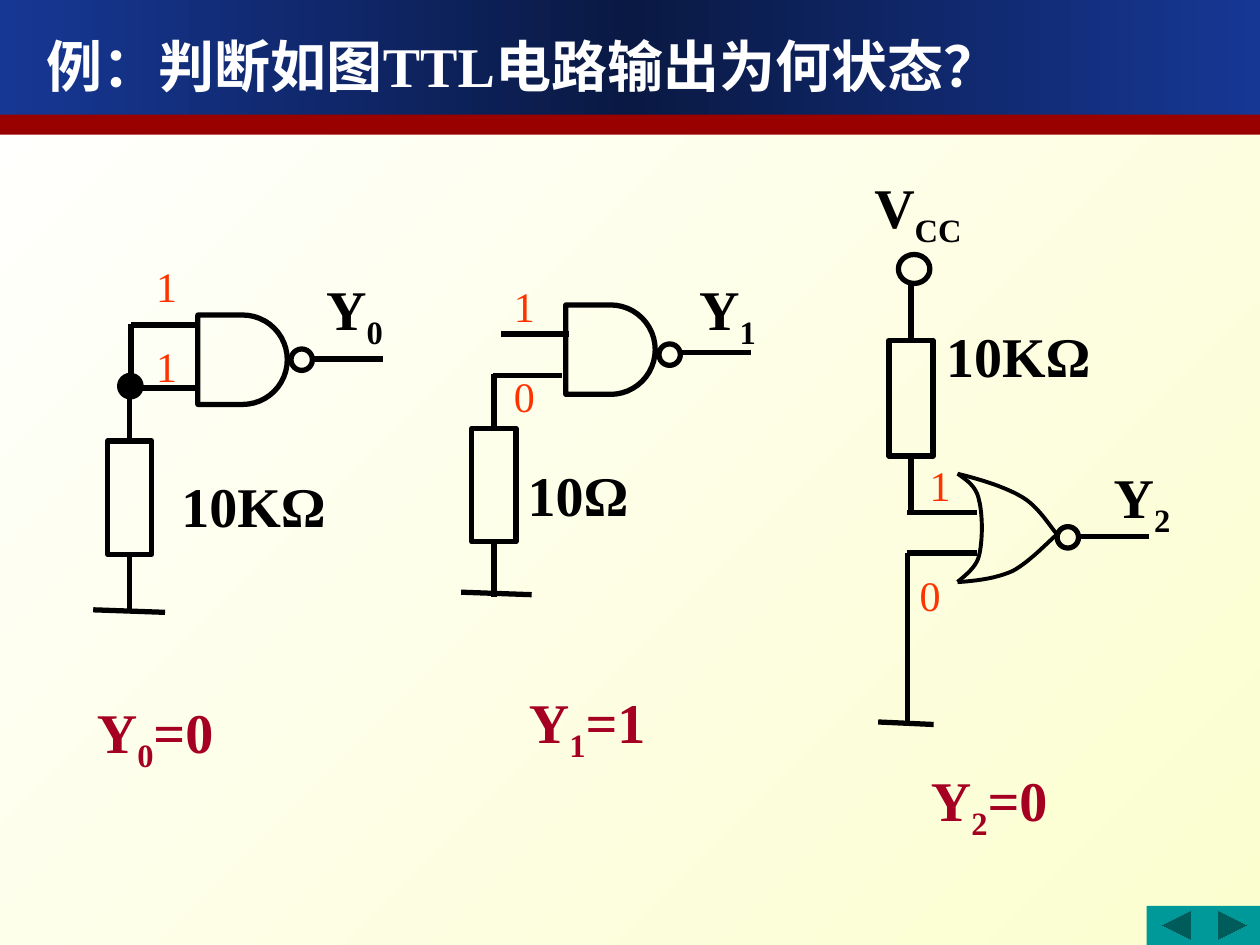
from copy import deepcopy
from dataclasses import dataclass

from lxml.etree import SubElement
from pptx import Presentation
from pptx.dml.color import RGBColor
from pptx.enum.shapes import MSO_CONNECTOR, MSO_SHAPE
from pptx.enum.text import MSO_AUTO_SIZE, PP_ALIGN
from pptx.oxml.ns import qn
from pptx.util import Inches, Pt


@dataclass(frozen=True)
class Theme:
    font: str = "Times New Roman"
    ink: str = "000000"
    white: str = "FFFFFF"
    cream: str = "FBFECE"
    blue: str = "163794"
    navy: str = "0A1944"
    red_band: str = "990000"
    teal: str = "009999"
    answer: str = "A50021"
    level: str = "FF3300"
    large: int = 32
    small: int = 24
    wire: float = 3
    curve: float = 2.25


THEME = Theme()
TOP, BOTTOM = 0, 2


def color(value):
    return RGBColor.from_string(value)


def style_outline(shape, width=THEME.wire):
    shape.line.color.rgb = color(THEME.ink)
    shape.line.width = Pt(width)


def set_gradient(fill, stops, angle, stop_list):
    fill.gradient()
    fill.gradient_angle = angle
    element = stop_list()
    while len(element) < len(stops):
        element.append(deepcopy(element[0]))
    for stop, (position, value) in zip(fill.gradient_stops, stops):
        stop.position = position
        stop.color.rgb = color(value)


def add_shape(slide, kind, left, top, width, height, fill=None, outlined=True):
    shape = slide.shapes.add_shape(
        kind, Inches(left), Inches(top), Inches(width), Inches(height))
    shape.shadow.inherit = False
    if fill:
        shape.fill.solid()
        shape.fill.fore_color.rgb = color(fill)
    else:
        shape.fill.background()
    if outlined:
        style_outline(shape)
    else:
        shape.line.fill.background()
    return shape


def add_wire(slide, start, end, joined=None, side=TOP):
    wire = slide.shapes.add_connector(
        MSO_CONNECTOR.STRAIGHT, *(Inches(value) for value in (*start, *end)))
    style_outline(wire)
    SubElement(wire._element.spPr, qn("a:effectLst"))
    if joined is not None:
        wire.begin_connect(joined, side)
    return wire


def add_text(slide, left, top, width, height, parts, value=THEME.ink,
             size=THEME.large, bold=True, wrap=False):
    box = slide.shapes.add_textbox(
        Inches(left), Inches(top), Inches(width), Inches(height))
    frame = box.text_frame
    frame.word_wrap = wrap
    frame.auto_size = MSO_AUTO_SIZE.SHAPE_TO_FIT_TEXT
    paragraph = frame.paragraphs[0]
    paragraph.alignment = PP_ALIGN.LEFT
    for index, part in enumerate(parts):
        run = paragraph.add_run()
        run.text = part
        run.font.name = THEME.font
        run.font.size = Pt(size)
        run.font.bold = bold
        run.font.color.rgb = color(value)
        if index == 1:
            run.font._element.set("baseline", "-25000")


def add_level(slide, left, top, digit):
    add_text(slide, left, top, 0.55, 0.5, [digit], THEME.level, THEME.small,
             bold=False, wrap=True)


def add_answer(slide, left, top, index, result):
    add_text(slide, left, top, 1.8, 0.71, ["Y", index, f"={result}"],
             THEME.answer, wrap=True)


def add_resistor(slide, center, top, height, upper_end, lower_end):
    width = 0.35
    resistor = add_shape(
        slide, MSO_SHAPE.RECTANGLE, center - width / 2, top, width, height)
    add_wire(slide, (center, top), (center, upper_end), resistor, TOP)
    add_wire(slide, (center, top + height), (center, lower_end), resistor, BOTTOM)


def add_output(slide, left, top, wire_y):
    diameter, gap, length = 0.17, 0.18, 0.55
    add_shape(slide, MSO_SHAPE.OVAL, left, top, diameter, diameter)
    add_wire(slide, (left + gap, wire_y), (left + gap + length, wire_y))


def add_nand_gate(slide, left, top, bubble_y, output_y):
    size = 0.71
    add_shape(slide, MSO_SHAPE.FLOWCHART_DELAY, left, top, size, size)
    add_output(slide, left + 0.74, bubble_y, output_y)


def bezier_points(start, first, second, end, steps=16):
    for step in range(1, steps + 1):
        t = step / steps
        weights = ((1 - t) ** 3, 3 * t * (1 - t) ** 2, 3 * t ** 2 * (1 - t), t ** 3)
        yield tuple(
            Inches(sum(weight * value for weight, value in zip(weights, axis)))
            for axis in zip(start, first, second, end))


def add_curve(slide, *nodes):
    builder = slide.shapes.build_freeform(*(Inches(value) for value in nodes[0]))
    for index in range(0, len(nodes) - 1, 3):
        builder.add_line_segments(
            list(bezier_points(*nodes[index:index + 4])), close=False)
    shape = builder.convert_to_shape()
    shape.shadow.inherit = False
    shape.fill.background()
    style_outline(shape, THEME.curve)


def add_nor_gate(slide):
    upper, lower, tip = (7.6, 3.76), (7.6, 4.62), (8.39, 4.24)
    add_curve(slide, upper, (7.67, 3.81), (7.75, 3.86), (7.77, 3.97),
              (7.8, 4.08), (7.8, 4.3), (7.77, 4.41),
              (7.75, 4.51), (7.63, 4.59), lower)
    add_curve(slide, upper, (7.8, 3.81), (7.99, 3.87), (8.12, 3.95),
              (8.25, 4.03), (8.34, 4.19), tip)
    add_curve(slide, lower, (7.75, 4.61), (7.91, 4.59), (8.04, 4.53),
              (8.17, 4.46), (8.33, 4.29), tip)
    add_output(slide, 8.39, 4.18, 4.26)


def add_frame(slide):
    background = slide.background.fill
    set_gradient(background, [(0, THEME.white), (1, THEME.cream)], 315,
                 lambda: slide._element.xpath(".//p:bg//a:gsLst")[0])
    header = add_shape(slide, MSO_SHAPE.RECTANGLE, 0, 0, 10, 0.91, outlined=False)
    set_gradient(header.fill,
                 [(0, THEME.blue), (0.5, THEME.navy), (1, THEME.blue)], 0,
                 lambda: header._element.xpath(".//a:gsLst")[0])
    add_shape(slide, MSO_SHAPE.RECTANGLE, 0, 0.91, 10, 0.16, THEME.red_band, False)
    for kind, left, width in (
            (MSO_SHAPE.ACTION_BUTTON_FORWARD_OR_NEXT, 9.57, 0.43),
            (MSO_SHAPE.ACTION_BUTTON_BACK_OR_PREVIOUS, 9.1, 0.47)):
        add_shape(slide, kind, left, 7.19, width, 0.31, THEME.teal, False)
    add_text(slide, 0.27, 0.2, 8.61, 0.64, ["例：判断如图TTL电路输出为何状态？"],
             THEME.white, wrap=True)


def add_first_circuit(slide):
    add_wire(slide, (1.04, 2.57), (1.04, 3.11))
    add_shape(slide, MSO_SHAPE.OVAL, 0.95, 2.98, 0.17, 0.17, THEME.ink)
    add_wire(slide, (0.74, 4.84), (1.31, 4.86))
    add_wire(slide, (1.04, 2.58), (1.58, 2.58))
    add_wire(slide, (1.02, 3.08), (1.57, 3.08))
    add_resistor(slide, 1.03, 3.5, 0.9, 3.07, 4.84)
    add_nand_gate(slide, 1.57, 2.5, 2.77, 2.85)
    add_text(slide, 1.34, 3.69, 1.35, 0.64, ["10KΩ"])
    add_text(slide, 2.49, 2.13, 0.65, 0.71, ["Y", "0"])
    add_level(slide, 1.14, 2.02, "1")
    add_level(slide, 1.14, 2.65, "1")
    add_answer(slide, 0.67, 5.49, "0", 0)


def add_second_circuit(slide):
    add_wire(slide, (3.66, 4.7), (4.22, 4.72))
    add_wire(slide, (3.98, 2.65), (4.52, 2.65))
    add_wire(slide, (3.91, 2.98), (4.46, 2.98))
    add_resistor(slide, 3.92, 3.4, 0.9, 2.97, 4.74)
    add_nand_gate(slide, 4.49, 2.42, 2.73, 2.8)
    add_text(slide, 4.09, 3.61, 1, 0.64, ["10Ω"])
    add_text(slide, 5.45, 2.13, 0.65, 0.71, ["Y", "1"])
    add_level(slide, 3.98, 2.18, "1")
    add_level(slide, 3.98, 2.89, "0")
    add_answer(slide, 4.1, 5.41, "1", 1)


def add_third_circuit(slide):
    add_shape(slide, MSO_SHAPE.OVAL, 7.13, 2.02, 0.25, 0.23)
    add_wire(slide, (6.97, 5.73), (7.41, 5.75))
    add_wire(slide, (7.2, 4.07), (7.75, 4.07))
    add_wire(slide, (7.2, 4.39), (7.75, 4.39))
    add_wire(slide, (7.2, 4.39), (7.2, 5.72))
    add_resistor(slide, 7.23, 2.7, 0.92, 2.26, 4.07)
    add_nor_gate(slide)
    add_text(slide, 6.84, 1.32, 0.89, 0.71, ["V", "CC"])
    add_text(slide, 7.41, 2.5, 1.35, 0.64, ["10KΩ"])
    add_text(slide, 8.74, 3.62, 0.65, 0.71, ["Y", "2"])
    add_level(slide, 7.28, 3.6, "1")
    add_level(slide, 7.2, 4.47, "0")
    add_answer(slide, 7.29, 6.03, "2", 0)


def main():
    presentation = Presentation()
    presentation.slide_width = Inches(10)
    presentation.slide_height = Inches(7.5)
    slide = presentation.slides.add_slide(presentation.slide_layouts[6])
    add_frame(slide)
    add_first_circuit(slide)
    add_second_circuit(slide)
    add_third_circuit(slide)
    presentation.save("out.pptx")


if __name__ == "__main__":
    main()
